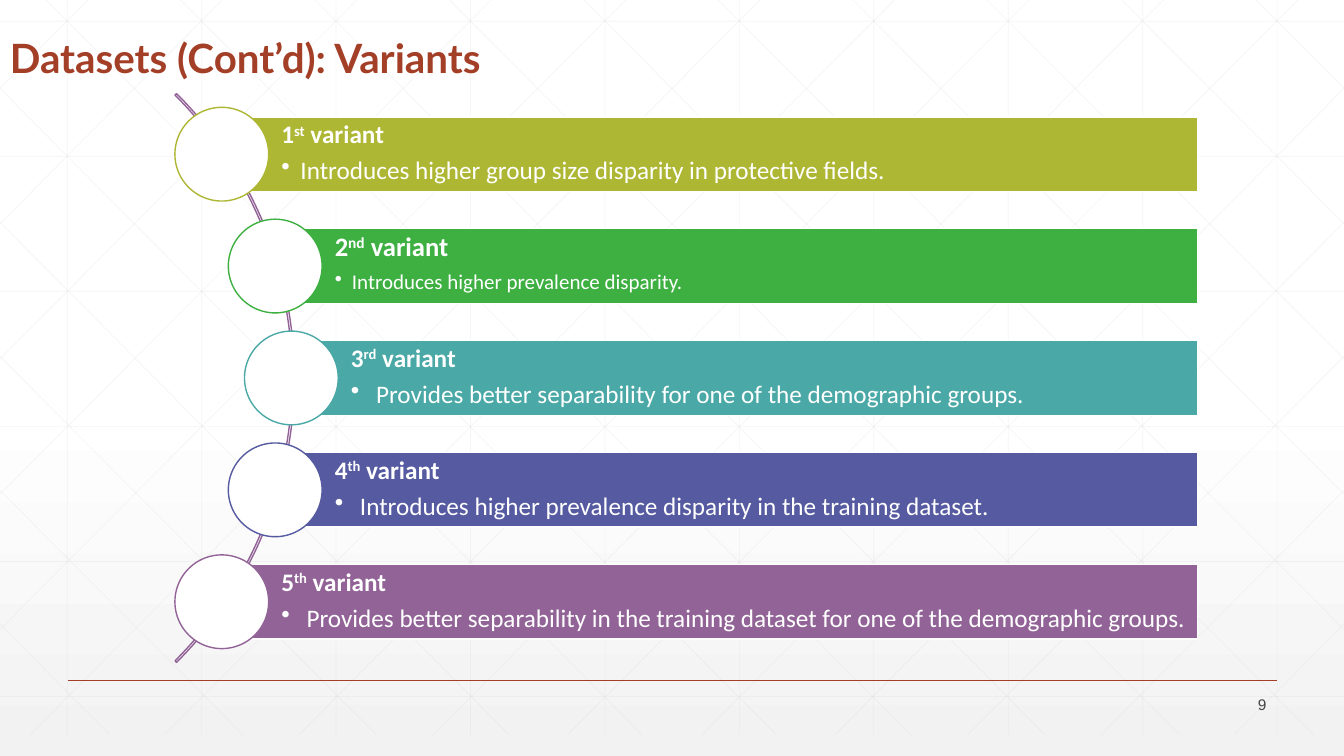
import lxml.etree
import pptx
import pptx.dml.color
import pptx.enum.shapes
import pptx.enum.text
import pptx.oxml.ns
import pptx.util

Inches = pptx.util.Inches
Pt = pptx.util.Pt
Shape = pptx.enum.shapes.MSO_SHAPE
Anchor = pptx.enum.text.MSO_ANCHOR
Align = pptx.enum.text.PP_ALIGN

WIDTH, HEIGHT = 13.33, 7.5
GRID_TOP, GRID_BOTTOM = -0.21, 7.29
GRID_STEP = 4 / 3
SLOPE = 7.5 / 7.45
BAR_RIGHT, BAR_TOP, BAR_HEIGHT, BAR_STEP = 11.88, 1.16, 0.74, 1.11
CIRCLE = 0.93
VARIANTS = [
    (2.2, "AEB733", "1", "st", 18, 18, 0.19,
     "Introduces higher group size disparity in protective fields."),
    (2.73, "3EB042", "2", "nd", 19, 15, 0.17,
     "Introduces higher prevalence disparity."),
    (2.89, "4AA8A6", "3", "rd", 18, 18, 0.25,
     "Provides better separability for one of the demographic groups."),
    (2.73, "565AA0", "4", "th", 18, 18, 0.25,
     "Introduces higher prevalence disparity in the training dataset."),
    (2.2, "926397", "5", "th", 18, 18, 0.25,
     "Provides better separability in the training dataset for one of the demographic groups."),
]


def color(value):
    return pptx.dml.color.RGBColor.from_string(value)


def add_xml(parent, tag, **attributes):
    child = lxml.etree.SubElement(parent, pptx.oxml.ns.qn(tag))
    for name, value in attributes.items():
        child.set(name, str(value))
    return child


class VariantSlide:
    """Draws the elements of the variants slide in one shared style."""

    accent = "A43F27"
    white = "FFFFFF"

    def __init__(self, page):
        self.page = page

    def background(self):
        fill = self.page.background.fill
        fill.gradient()
        fill.gradient_angle = 270
        for stop, position, value in zip(fill.gradient_stops, (0.53, 1), (self.white, "F2F2F2")):
            stop.position = position
            stop.color.rgb = color(value)

    def line(self, x1, y1, x2, y2, value, width, alpha=None):
        line = self.page.shapes.add_connector(
            pptx.enum.shapes.MSO_CONNECTOR.STRAIGHT,
            Inches(x1), Inches(y1), Inches(x2), Inches(y2))
        line.line.color.rgb = color(value)
        line.line.width = Pt(width)
        properties = line._element.spPr
        if alpha:
            rgb = properties.find(".//" + pptx.oxml.ns.qn("a:srgbClr"))
            add_xml(rgb, "a:alpha", val=alpha * 1000)
        add_xml(properties, "a:effectLst")

    def grid_line(self, x1, y1, x2, y2):
        self.line(x1, y1, x2, y2, "D9D9D9", 0.5, 25)

    def grid(self):
        for column in range(10):
            x = GRID_STEP * (column + 0.5)
            self.grid_line(x, GRID_TOP, x, GRID_BOTTOM)
        for row in range(6):
            y = 0.21 + 1.34 * row
            self.grid_line(0, y, WIDTH, y)
        diagonals = []
        for column in range(10):
            x = 0.25 + GRID_STEP * column
            run = min(7.45, WIDTH - x)
            diagonals.append((x, GRID_TOP, x + run, GRID_TOP + run * SLOPE))
        for column in range(5):
            run = 6.37 - 1.32 * column
            diagonals.append((run, GRID_BOTTOM, 0, GRID_BOTTOM - run * SLOPE))
        for x1, y1, x2, y2 in diagonals:
            self.grid_line(x1, y1, x2, y2)
            self.grid_line(WIDTH - x1, y1, WIDTH - x2, y2)

    def shape(self, kind, left, top, width, height, fill, line):
        shape = self.page.shapes.add_shape(
            kind, Inches(left), Inches(top), Inches(width), Inches(height))
        shape.shadow.inherit = False
        if fill:
            shape.fill.solid()
            shape.fill.fore_color.rgb = color(fill)
        else:
            shape.fill.background()
        shape.line.color.rgb = color(line)
        shape.line.width = Pt(1)
        return shape

    def font(self, para, name, size, value, bold=False):
        para.font.name = name
        para.font.size = Pt(size)
        para.font.bold = bold
        para.font.color.rgb = color(value)

    def text(self, words, left, top, width, height, anchor, align, *font):
        box = self.page.shapes.add_textbox(
            Inches(left), Inches(top), Inches(width), Inches(height))
        frame = box.text_frame
        frame.word_wrap = True
        frame.vertical_anchor = anchor
        para = frame.paragraphs[0]
        para.text = words
        para.alignment = align
        para.line_spacing = 0.9
        self.font(para, *font)

    def arc(self):
        arc = self.shape(Shape.BLOCK_ARC, -5.06, -0.24, 7.98, 7.98, None, "926397")
        for index, value in enumerate((189, 27, 0.0027)):
            arc.adjustments[index] = value

    def variant(self, row, left, fill, number, suffix, head_size, body_size, indent, words):
        top = BAR_TOP + BAR_STEP * row
        bar = self.shape(Shape.RECTANGLE, left, top, BAR_RIGHT - left, BAR_HEIGHT, fill, self.white)
        frame = bar.text_frame
        frame.word_wrap = True
        frame.vertical_anchor = Anchor.TOP
        frame.margin_left = Inches(0.59)
        frame.margin_top = frame.margin_right = frame.margin_bottom = Inches(0.05)

        head = frame.paragraphs[0]
        for part in (number, suffix, " variant"):
            span = head.add_run()
            span.text = part
            if part == suffix:
                span._r.get_or_add_rPr().set("baseline", "30000")
        head.space_after = Pt(head_size * 0.35)
        self.font(head, "Calibri", head_size, self.white, True)

        body = frame.add_paragraph()
        body.text = words
        body.level = 1
        properties = body._p.get_or_add_pPr()
        properties.set("marL", str(Inches(indent)))
        properties.set("indent", str(-Inches(indent)))
        add_xml(properties, "a:buChar", char="•")
        self.font(body, "Calibri", body_size, self.white)

        for para in (head, body):
            para.alignment = Align.LEFT
            para.line_spacing = 0.9

        self.shape(Shape.OVAL, left - CIRCLE / 2, top + (BAR_HEIGHT - CIRCLE) / 2,
                   CIRCLE, CIRCLE, self.white, fill)


def main():
    deck = pptx.Presentation()
    deck.slide_width, deck.slide_height = Inches(WIDTH), Inches(HEIGHT)
    slide = VariantSlide(deck.slides.add_slide(deck.slide_layouts[6]))
    slide.background()
    slide.grid()
    slide.line(0.67, 6.75, 12.67, 6.75, slide.accent, 1)
    slide.text("Datasets (Cont’d): Variants", 0, 0.34, 11.5, 0.52,
               Anchor.BOTTOM, Align.LEFT, "Lato", 28.8, slide.accent, True)
    slide.text("9", 11.66, 6.88, 1, 0.24, Anchor.MIDDLE, Align.RIGHT, "Arial", 11, "424342")
    slide.arc()
    for row, variant in enumerate(VARIANTS):
        slide.variant(row, *variant)
    deck.save("out.pptx")


if __name__ == "__main__":
    main()
